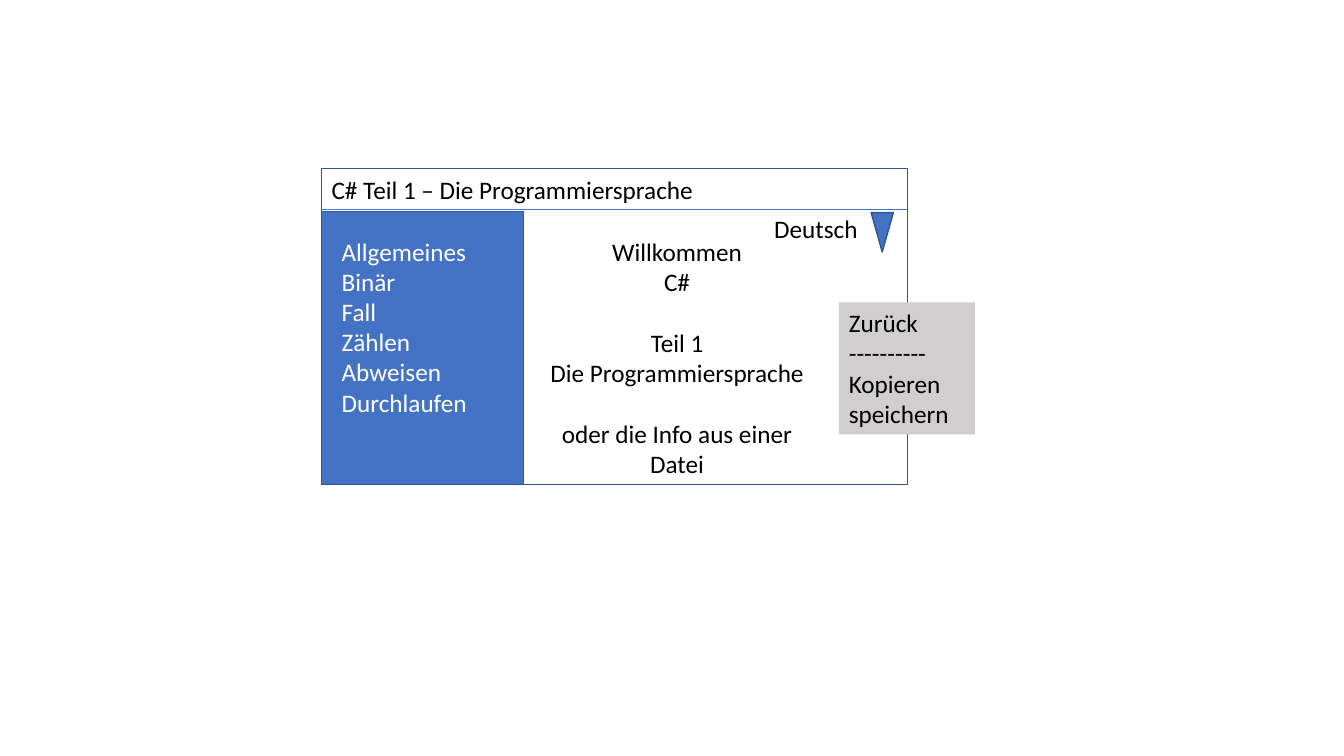
"""Builds a slide with the window sketch of a C# learning program."""
from lxml.etree import SubElement
from pptx import Presentation
from pptx.dml.color import RGBColor
from pptx.enum.shapes import MSO_CONNECTOR, MSO_SHAPE
from pptx.enum.text import MSO_ANCHOR, MSO_AUTO_SIZE, PP_ALIGN
from pptx.oxml.ns import qn
from pptx.util import Inches, Pt

TITLE = ["C# Teil 1 – Die Programmiersprache"]
TOPICS = ["Allgemeines", "Binär", "Fall", "Zählen", "Abweisen", "Durchlaufen"]
WELCOME = [
    ["Willkommen", "C#"],
    ["Teil 1", "Die Programmiersprache"],
    ["oder die Info aus einer Datei"],
]
LANGUAGE = ["Deutsch"]
CONTEXT_MENU = ["Zurück", "----------", "Kopieren", "speichern"]

WHITE = RGBColor(0xFF, 0xFF, 0xFF)
BLACK = RGBColor(0, 0, 0)
BLUE = RGBColor(0x44, 0x72, 0xC4)
DARK_BLUE = RGBColor(0x32, 0x54, 0x91)
GRAY = RGBColor(0xD0, 0xCE, 0xCE)

FONT, SIZE, LINE_HEIGHT = "Calibri", Pt(18), Pt(22)
SLIDE_WIDTH, SLIDE_HEIGHT = 13.33, 7.5
LEFT, TOP, WIDTH, HEIGHT = 3.19, 1.67, 5.81, 3.14
RIGHT, BOTTOM = LEFT + WIDTH, TOP + HEIGHT
TITLE_HEIGHT, SIDEBAR_WIDTH, PADDING = 0.41, 2, 0.1
BODY_TOP = TOP + TITLE_HEIGHT
SIDEBAR_TOP = BODY_TOP + 0.02
TEXT_TOP = 2.29
WELCOME_LEFT = LEFT + SIDEBAR_WIDTH + PADDING

deck = Presentation()
deck.slide_width, deck.slide_height = Inches(SLIDE_WIDTH), Inches(SLIDE_HEIGHT)
page = deck.slides.add_slide(deck.slide_layouts[6])


def add_panel(kind, left, top, width, height, fill, outline=None):
    shape = page.shapes.add_shape(kind, *map(Inches, (left, top, width, height)))
    shape.shadow.inherit = False
    shape.fill.solid()
    shape.fill.fore_color.rgb = fill
    if outline is None:
        shape.line.fill.background()
    else:
        shape.line.color.rgb = outline
        shape.line.width = Pt(1)
    return shape


def write(box, groups, color=BLACK, align=PP_ALIGN.LEFT):
    frame = box.text_frame
    frame.word_wrap = True
    frame.auto_size = MSO_AUTO_SIZE.SHAPE_TO_FIT_TEXT
    frame.vertical_anchor = MSO_ANCHOR.TOP
    frame.text = "\n".join(line for group in groups for line in group)
    paragraphs = iter(frame.paragraphs)
    for number, group in enumerate(groups):
        for position in range(len(group)):
            para = next(paragraphs)
            para.alignment = align
            if number and position == 0:
                para.space_before = LINE_HEIGHT
            for span in para.runs:
                span.font.name, span.font.size = FONT, SIZE
                span.font.color.rgb = color


def add_text(left, top, width, height, groups, **style):
    box = page.shapes.add_textbox(*map(Inches, (left, top, width, height)))
    write(box, groups, **style)


add_panel(MSO_SHAPE.RECTANGLE, LEFT, TOP, WIDTH, HEIGHT, WHITE, DARK_BLUE)
divider = page.shapes.add_connector(
    MSO_CONNECTOR.STRAIGHT, *map(Inches, (LEFT, BODY_TOP, RIGHT, BODY_TOP)))
divider.line.color.rgb = BLUE
divider.line.width = Pt(0.5)
SubElement(divider._element.spPr, qn("a:effectLst"))
add_text(LEFT, TOP + 0.01, 4.51, 0.4, [TITLE])

add_panel(MSO_SHAPE.RECTANGLE, LEFT, SIDEBAR_TOP, SIDEBAR_WIDTH,
          BOTTOM - SIDEBAR_TOP, BLUE, DARK_BLUE)
add_text(LEFT + PADDING, TEXT_TOP, 1.51, 1.92, [TOPICS], color=WHITE)
add_text(WELCOME_LEFT, TEXT_TOP, 2.85, BOTTOM - TEXT_TOP, WELCOME,
         align=PP_ALIGN.CENTER)

add_text(7.58, BODY_TOP - 0.01, 1.25, 0.4, [LANGUAGE])
arrow = add_panel(MSO_SHAPE.ISOSCELES_TRIANGLE, 8.64, 2.11, 0.22, 0.39,
                  BLUE, DARK_BLUE)
arrow._element.spPr.xfrm.set("flipV", "1")

menu = add_panel(MSO_SHAPE.RECTANGLE, 8.32, 3, 1.35, 1.31, GRAY)
write(menu, [CONTEXT_MENU])

deck.save("out.pptx")
